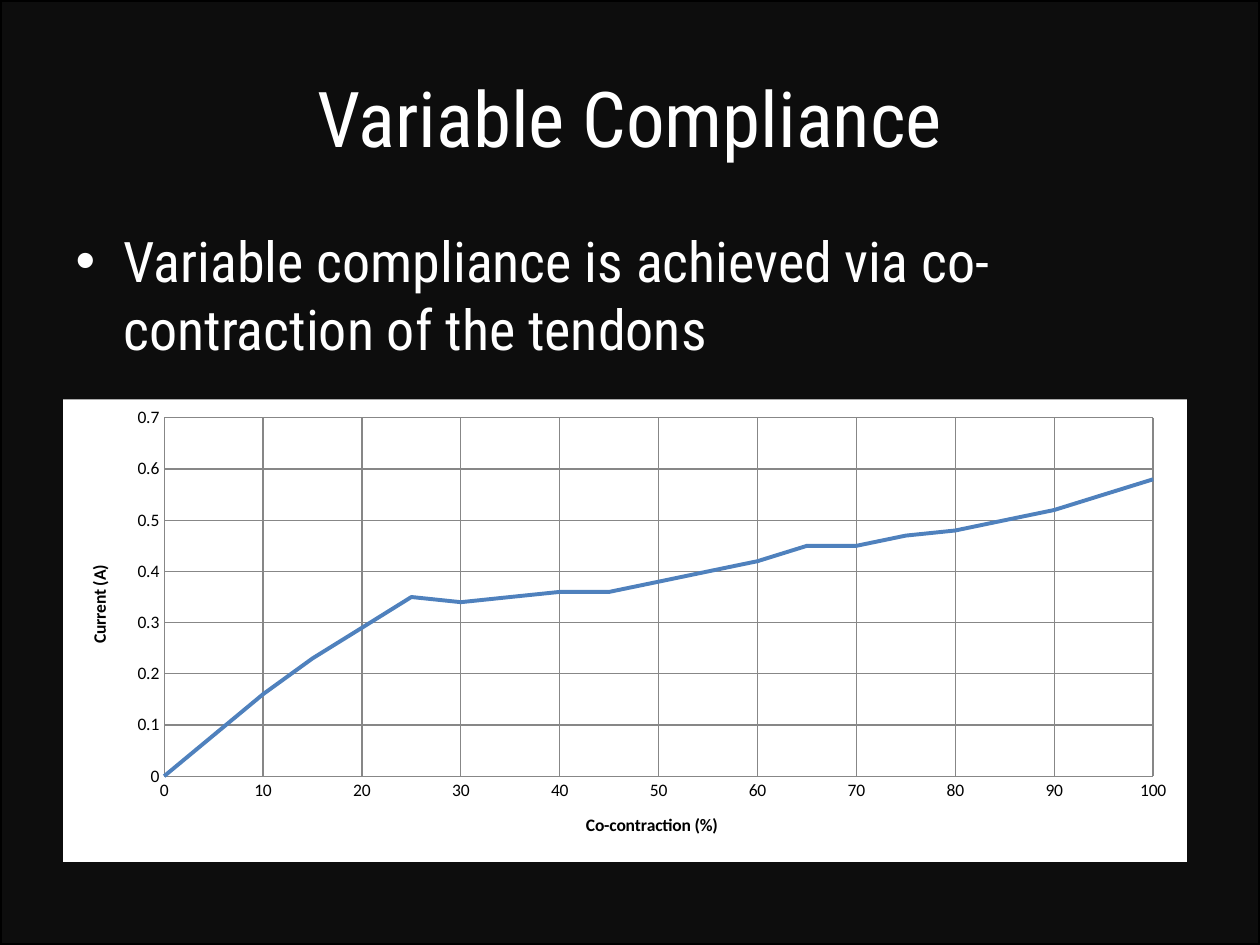
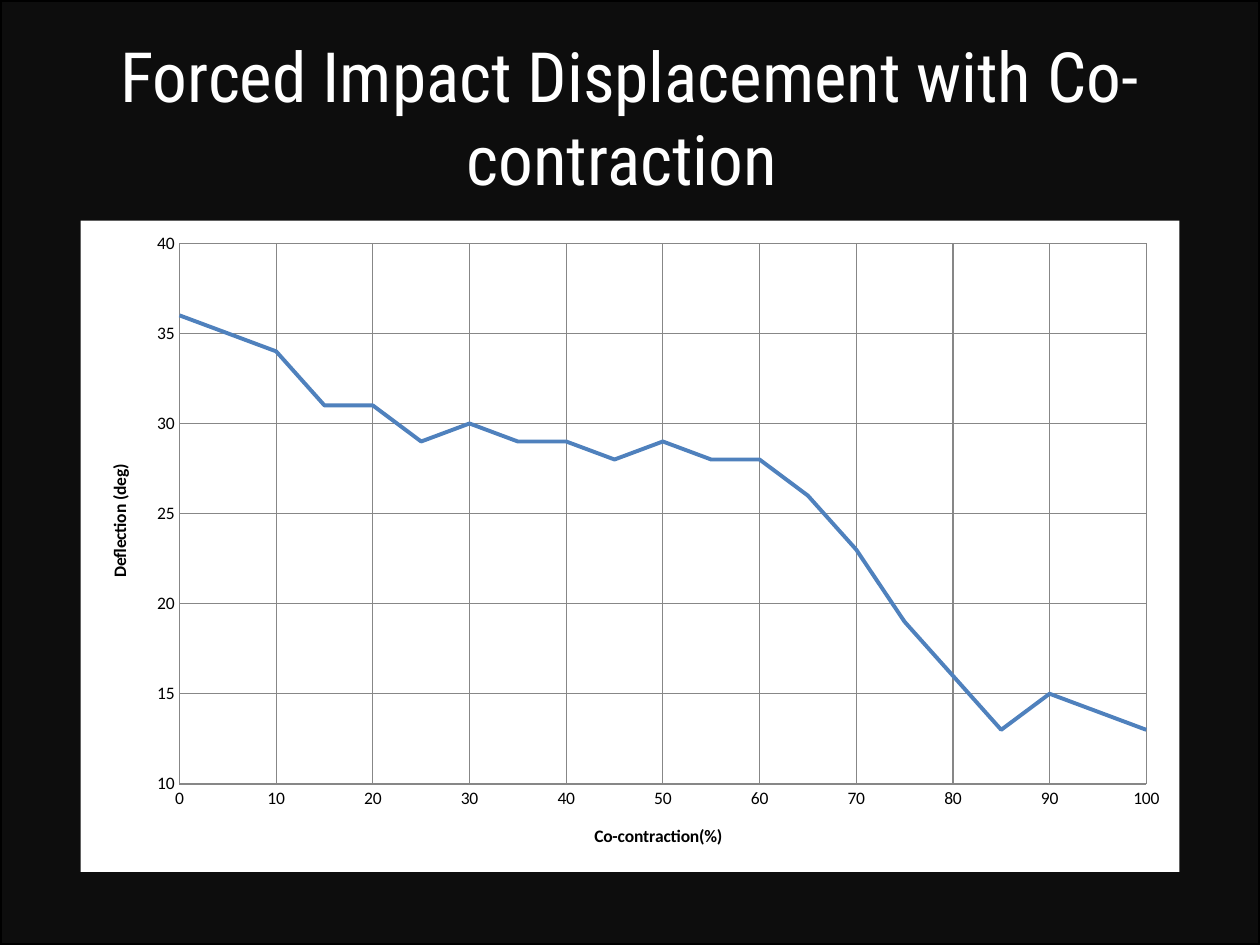
from lxml.etree import SubElement
from pptx import Presentation
from pptx.chart.data import XyChartData
from pptx.dml.color import RGBColor
from pptx.enum.chart import XL_CHART_TYPE, XL_TICK_MARK
from pptx.enum.shapes import MSO_SHAPE
from pptx.enum.text import MSO_ANCHOR, MSO_AUTO_SIZE, PP_ALIGN
from pptx.oxml import parse_xml
from pptx.oxml.ns import nsdecls, qn
from pptx.util import Inches, Pt

# Content
CO_CONTRACTION = [0, *range(10, 101, 5)]
SLIDES = [
    {
        "title": "Variable Compliance",
        "title_size": 44,
        "bullet": "Variable compliance is achieved via co-contraction of the tendons",
        "frame": (0.5, 3.17, 8.92, 3.67),
        "plot": (0.09, 0.04, 0.88, 0.775),
        "x_title": "Co-contraction (%)",
        "y_title": "Current (A)",
        "y_scale": (0, 0.7, 0.1),
        "values": [0, 0.16, 0.23, 0.29, 0.35, 0.34, 0.35, 0.36, 0.36, 0.38,
                   0.4, 0.42, 0.45, 0.45, 0.47, 0.48, 0.5, 0.52, 0.55, 0.58],
    },
    {
        "title": "Forced Impact Displacement with Co-contraction ",
        "title_size": 39.6,
        "bullet": None,
        "frame": (0.64, 1.75, 8.72, 5.17),
        "plot": (0.09, 0.035, 0.88, 0.83),
        "x_title": "Co-contraction(%)",
        "y_title": "Deflection (deg)",
        "y_scale": (10, 40, 5),
        "values": [36, 34, 31, 31, 29, 30, 29, 29, 28, 29,
                   28, 28, 26, 23, 19, 16, 13, 15, 14, 13],
    },
]

# Shared style
COLORS = {"backdrop": "0D0D0D", "black": "000000", "white": "FFFFFF",
          "grid": "878787", "curve": "4F81BD"}
TEXT_FONT, CHART_FONT = "Roboto Condensed", "Calibri"
TITLE_FRAME = (0.5, 0.3, 9, 1.25)
BODY_FRAME = (0.5, 1.75, 9, 4.95)
CONTENT_LAYOUT, TITLE_ONLY_LAYOUT = 1, 5


def color(name):
    return RGBColor.from_string(COLORS[name])


def style_font(font, face, size, color_name, bold=False):
    font.name, font.size, font.bold = face, Pt(size), bold
    font.color.rgb = color(color_name)


def add_backdrop(page, deck):
    backdrop = page.shapes.add_shape(MSO_SHAPE.RECTANGLE, 0, 0,
                                     deck.slide_width, deck.slide_height)
    backdrop.shadow.inherit = False
    backdrop.fill.solid()
    backdrop.fill.fore_color.rgb = color("backdrop")
    backdrop.line.color.rgb = color("black")
    backdrop.line.width = Pt(2)
    page.shapes._spTree.insert(2, backdrop._element)  # behind the placeholders


def fill_placeholder(box, frame, text, size, anchor):
    box.left, box.top, box.width, box.height = map(Inches, frame)
    box.text_frame.word_wrap = True
    box.text_frame.auto_size = MSO_AUTO_SIZE.NONE
    box.text_frame.vertical_anchor = anchor
    para = box.text_frame.paragraphs[0]
    span = para.add_run()
    span.text = text
    style_font(span.font, TEXT_FONT, size, "white")
    return para


def add_bullet(para):
    properties = para._p.get_or_add_pPr()
    properties.set("marL", str(Inches(0.38)))
    properties.set("indent", str(-Inches(0.38)))
    before = SubElement(properties, qn("a:spcBef"))
    SubElement(before, qn("a:spcPct")).set("val", "20000")
    SubElement(properties, qn("a:buFont")).set("typeface", "Arial")
    SubElement(properties, qn("a:buChar")).set("char", "•")


def style_axis(axis, title, scale):
    axis.minimum_scale, axis.maximum_scale, axis.major_unit = scale
    axis.major_tick_mark = axis.minor_tick_mark = XL_TICK_MARK.NONE
    axis.has_major_gridlines = True
    for line in (axis.format.line, axis.major_gridlines.format.line):
        line.color.rgb = color("grid")
        line.width = Pt(0.75)
    axis.tick_labels.number_format = "General"
    axis.tick_labels.number_format_is_linked = False
    span = axis.axis_title.text_frame.paragraphs[0].add_run()
    span.text = title
    style_font(span.font, CHART_FONT, 10, "black", bold=True)


def place_plot(chart, shares):
    plot_area = chart._chartSpace.chart.plotArea
    for old in plot_area.findall(qn("c:layout")):
        plot_area.remove(old)
    places = "".join(f'<c:{key} val="{share}"/>'
                     for key, share in zip("xywh", shares))
    plot_area.insert(0, parse_xml(
        f'<c:layout {nsdecls("c")}><c:manualLayout><c:layoutTarget val="inner"/>'
        f'<c:xMode val="edge"/><c:yMode val="edge"/>{places}'
        '</c:manualLayout></c:layout>'))


def add_curve_chart(page, content):
    data = XyChartData()
    points = data.add_series("Series 1")
    for x, y in zip(CO_CONTRACTION, content["values"]):
        points.add_data_point(x, y)
    chart = page.shapes.add_chart(XL_CHART_TYPE.XY_SCATTER_SMOOTH_NO_MARKERS,
                                  *map(Inches, content["frame"]), data).chart
    chart.has_legend = chart.has_title = False
    style_font(chart.font, CHART_FONT, 10, "black")
    chart.plots[0].vary_by_categories = False
    style_axis(chart.category_axis, content["x_title"], (0, 100, 10))
    style_axis(chart.value_axis, content["y_title"], content["y_scale"])
    curve = chart.plots[0].series[0]
    curve.smooth = True
    curve.format.line.color.rgb = color("curve")
    curve.format.line.width = Pt(2.25)
    place_plot(chart, content["plot"])
    # White chart background without a border
    chart._chartSpace.chart.addnext(parse_xml(
        f'<c:spPr {nsdecls("c", "a")}><a:solidFill><a:srgbClr '
        f'val="{COLORS["white"]}"/></a:solidFill><a:ln><a:noFill/></a:ln></c:spPr>'))


def build_page(deck, content):
    layout = CONTENT_LAYOUT if content["bullet"] else TITLE_ONLY_LAYOUT
    page = deck.slides.add_slide(deck.slide_layouts[layout])
    add_backdrop(page, deck)
    title = fill_placeholder(page.shapes.title, TITLE_FRAME, content["title"],
                             content["title_size"], MSO_ANCHOR.MIDDLE)
    title.alignment = PP_ALIGN.CENTER
    if content["bullet"]:
        add_bullet(fill_placeholder(page.placeholders[1], BODY_FRAME,
                                    content["bullet"], 32, MSO_ANCHOR.TOP))
    add_curve_chart(page, content)


def main():
    deck = Presentation()
    deck.slide_width, deck.slide_height = Inches(10), Inches(7.5)
    for content in SLIDES:
        build_page(deck, content)
    deck.save("out.pptx")


if __name__ == "__main__":
    main()
